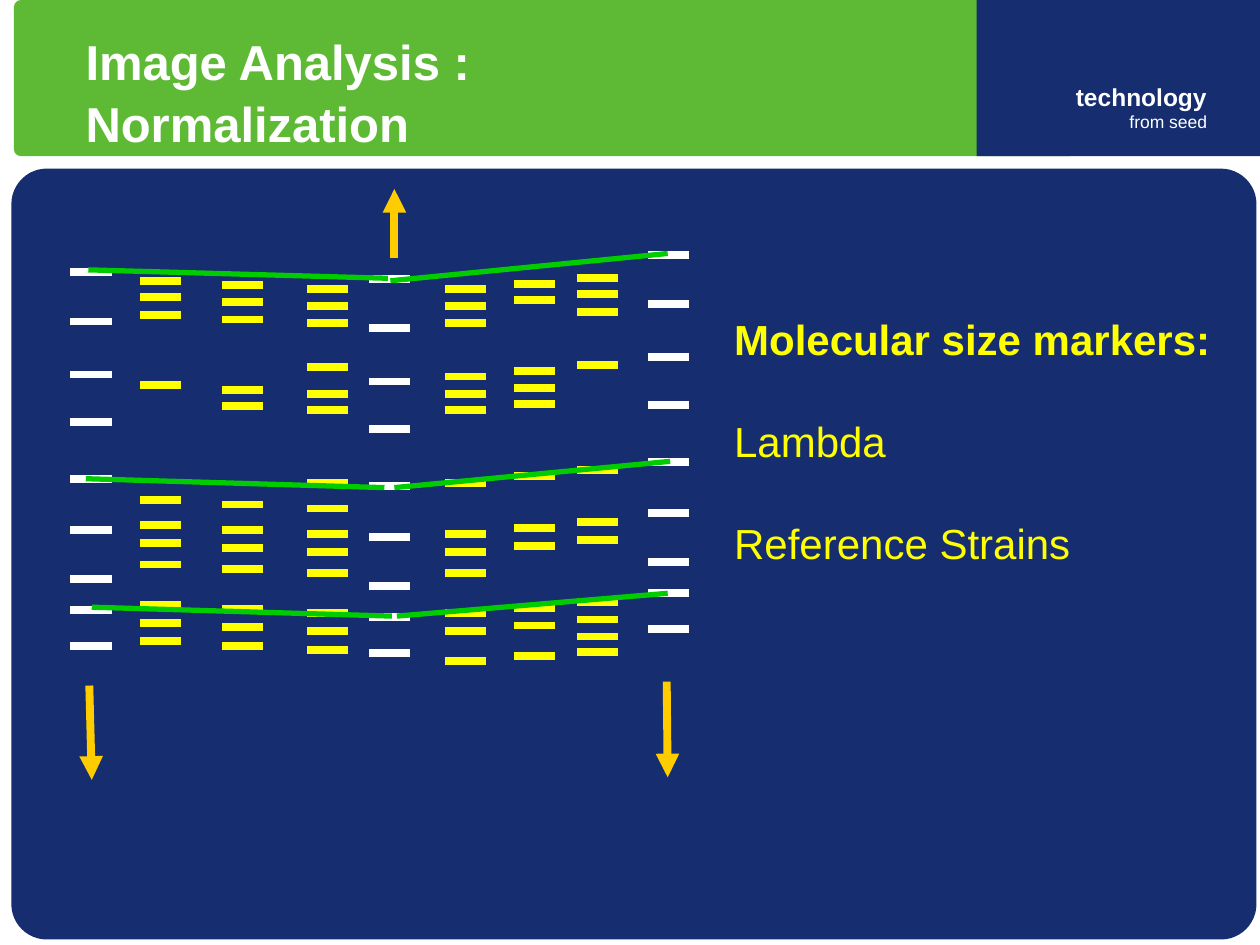
from lxml import etree
from pptx import Presentation
from pptx.dml.color import RGBColor
from pptx.enum.shapes import MSO_CONNECTOR, MSO_SHAPE
from pptx.enum.text import MSO_ANCHOR, PP_ALIGN
from pptx.oxml.ns import qn
from pptx.util import Cm, Pt

NAVY, GREEN, WHITE, YELLOW = "162E70", "5EBA35", "FFFFFF", "FFFF00"
CURVE_GREEN, ORANGE = "00CC00", "FFCC00"
FONT = "Arial"
BAND_WIDTH = 0.83

# Marker lanes (left, top) share one ladder of band offsets, all in cm
MARKER_LADDER = [0, 0.99, 2.06, 3.02, 4.17, 5.2, 6.19, 6.81, 7.54]
MARKER_LANES = [(1.42, 5.49), (13.06, 5.14), (7.44, 5.63)]

# Sample lanes: left, top, band offsets from the top
COMMON_BANDS = [0, 0.33, 0.69, 2.11, 4.42, 4.93, 5.29, 5.72, 6.53, 6.89, 7.27]
SAMPLE_LANES = [
    (2.82, 5.66, COMMON_BANDS),
    (4.48, 5.75, COMMON_BANDS + [2.43]),
    (6.19, 5.83, COMMON_BANDS + [1.56, 2.43, 3.9]),
    (8.97, 5.83, [0, 0.33, 0.69, 1.76, 2.11, 2.43, 3.9, 4.93, 5.29, 5.72,
                  6.53, 6.89, 7.5]),
    (11.63, 5.6, [0, 0.33, 0.69, 1.75, 3.88, 4.93, 5.29, 6.53, 6.89, 7.23,
                  7.54]),
    (10.36, 5.72, [0, 0.33, 1.75, 2.11, 2.43, 3.88, 4.93, 5.29, 6.53, 6.89,
                   7.5]),
]

# Lines (x1, y1, x2, y2) joining the same marker band across lanes
ALIGNMENT_LINES = [
    (1.78, 5.44, 7.82, 5.61), (1.73, 9.65, 7.75, 9.83),
    (1.85, 12.24, 7.9, 12.42), (8, 12.42, 13.46, 11.96),
    (7.95, 9.83, 13.51, 9.3), (7.87, 5.66, 13.46, 5.11),
]
SHIFT_ARROWS = [
    (13.44, 13.74, 13.46, 15.67), (1.8, 13.82, 1.85, 15.72),
    (7.95, 5.21, 7.95, 3.81),
]


def color(value):
    return RGBColor.from_string(value)


def add_panel(slide, kind, left, top, width, height, fill):
    sp = slide.shapes.add_shape(kind, Cm(left), Cm(top), Cm(width), Cm(height))
    sp.shadow.inherit = False
    sp.fill.solid()
    sp.fill.fore_color.rgb = color(fill)
    sp.line.fill.background()
    if kind == MSO_SHAPE.ROUNDED_RECTANGLE:
        sp.adjustments[0] = 0.046


def add_line(group, x1, y1, x2, y2, line_color, width, arrow=False):
    line = group.shapes.add_connector(
        MSO_CONNECTOR.STRAIGHT, Cm(x1), Cm(y1), Cm(x2), Cm(y2))
    line.line.color.rgb = color(line_color)
    line.line.width = Pt(width)
    if arrow:
        ln = line.line._get_or_add_ln()
        etree.SubElement(ln, qn("a:tailEnd"), type="triangle")
    etree.SubElement(line._element.spPr, qn("a:effectLst"))


def add_lane(slide, left, top, bands, band_color):
    group = slide.shapes.add_group_shape()
    for offset in bands:
        y = top + offset
        add_line(group, left, y, left + BAND_WIDTH, y, band_color, 4.5)


def add_line_group(slide, lines, line_color, width, arrow=False):
    group = slide.shapes.add_group_shape()
    for ends in lines:
        add_line(group, *ends, line_color, width, arrow)


def format_run(r, size, font_color, bold=False):
    r.font.name = FONT
    r.font.size = Pt(size)
    r.font.bold = bold
    r.font.color.rgb = color(font_color)


def add_text_box(slide, left, top, width, height):
    tf = slide.shapes.add_textbox(
        Cm(left), Cm(top), Cm(width), Cm(height)).text_frame
    tf.word_wrap = True
    return tf


def set_title(slide):
    title = slide.shapes.title
    title.left, title.top = Cm(1.47), Cm(0.56)
    title.width, title.height = Cm(13.54), Cm(2.54)
    tf = title.text_frame
    tf.text = "Image Analysis : Normalization"
    tf.vertical_anchor = MSO_ANCHOR.MIDDLE
    tf.word_wrap = True
    p = tf.paragraphs[0]
    p.alignment = PP_ALIGN.LEFT
    p.line_spacing = 1.05
    format_run(p.runs[0], 28, WHITE, bold=True)


def add_tagline(slide):
    tf = add_text_box(slide, 19.2, 1.65, 5.13, 1.02)
    tf.margin_left = tf.margin_right = tf.margin_top = tf.margin_bottom = 0
    p = tf.paragraphs[0]
    p.text = "technology\vfrom seed"
    p.alignment = PP_ALIGN.RIGHT
    name, origin = p.runs
    format_run(name, 14, WHITE, bold=True)
    format_run(origin, 10, WHITE)


def add_marker_notes(slide):
    tf = add_text_box(slide, 14.55, 6.2, 10.39, 5.33)
    tf.text = "Molecular size markers:\nLambda\nReference Strains"
    for i, p in enumerate(tf.paragraphs):
        if i:
            p.space_before = Pt(29.5)
        format_run(p.runs[0], 24, YELLOW, bold=i == 0)


def main():
    prs = Presentation()
    prs.slide_width, prs.slide_height = Cm(25.4), Cm(19.05)
    slide = prs.slides.add_slide(prs.slide_layouts[5])

    # Header and content panels, with the title brought in front of them
    add_panel(slide, MSO_SHAPE.ROUNDED_RECTANGLE, 0.23, 3.4, 25.1, 15.54, NAVY)
    add_panel(slide, MSO_SHAPE.ROUNDED_RECTANGLE, 0.28, 0, 21.41, 3.15, GREEN)
    add_panel(slide, MSO_SHAPE.RECTANGLE, 19.69, 0, 5.71, 3.15, NAVY)
    add_tagline(slide)
    set_title(slide)
    slide.shapes._spTree.append(slide.shapes.title._element)

    # Gel lanes
    for left, top, bands in SAMPLE_LANES:
        add_lane(slide, left, top, bands, YELLOW)
    for left, top in MARKER_LANES:
        add_lane(slide, left, top, MARKER_LADDER, WHITE)

    # Notes, normalization lines and shift arrows
    add_marker_notes(slide)
    add_line_group(slide, ALIGNMENT_LINES, CURVE_GREEN, 3)
    add_line_group(slide, SHIFT_ARROWS, ORANGE, 4.5, arrow=True)

    prs.save("out.pptx")


if __name__ == "__main__":
    main()
